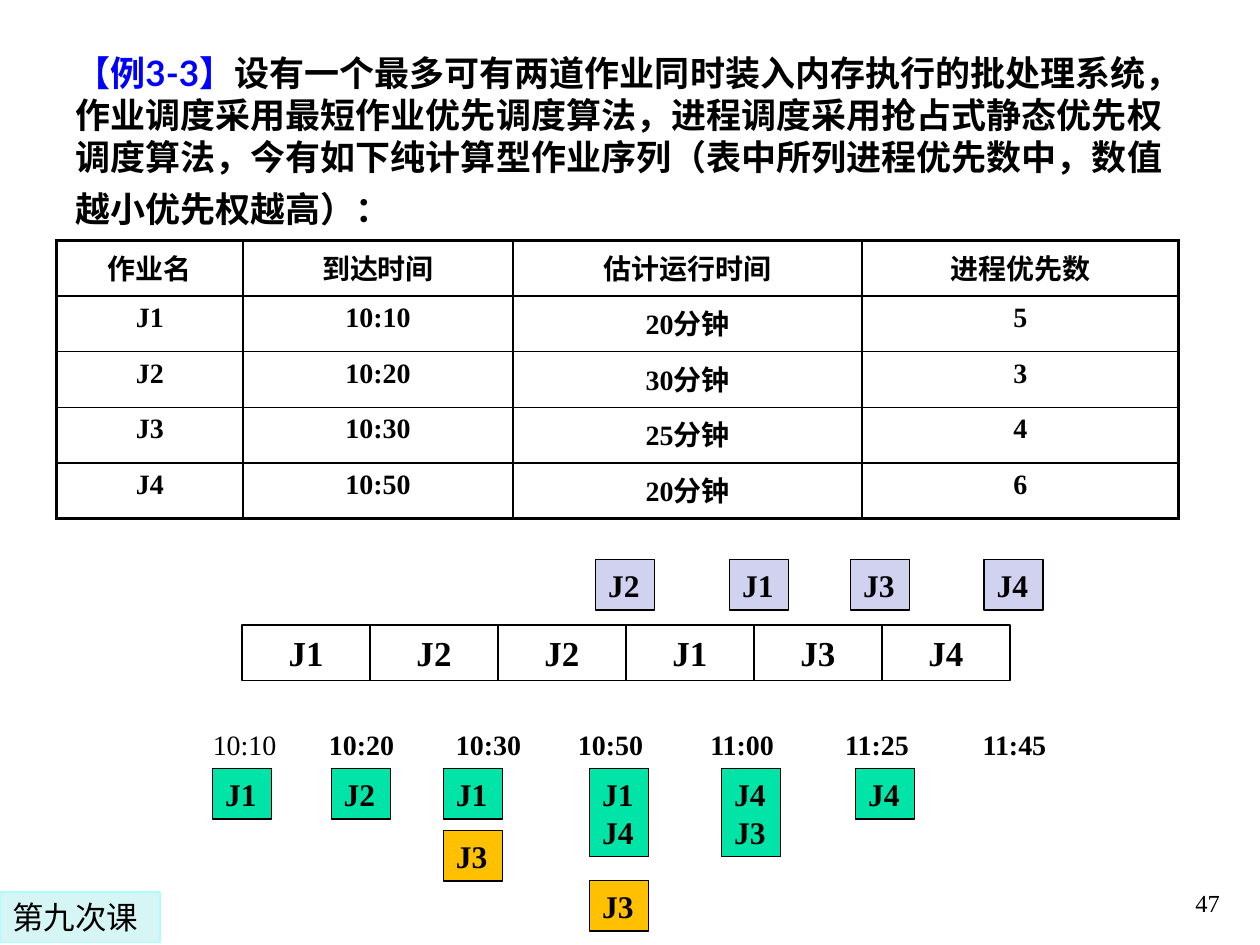
from pptx import Presentation
from pptx.dml.color import RGBColor
from pptx.enum.shapes import MSO_SHAPE
from pptx.enum.text import MSO_ANCHOR, PP_ALIGN
from pptx.oxml.xmlchemy import OxmlElement
from pptx.util import Cm, Pt

TIMES = "Times New Roman"
NOTO = "Noto Sans CJK SC"
LATO = "Lato"
DEJA = "DejaVu Sans"

TITLE = [
    ("【例", 20, NOTO, "0000FF"),
    ("3-3", 20, LATO, "0000FF"),
    ("】", 20, NOTO, "0000FF"),
    ("设有一个最多可有两道作业同时装入内存执行的批处理系统，作业调度采用最短作业优先调度算法，"
     "进程调度采用抢占式静态优先权调度算法，今有如下纯计算型作业序列"
     "（表中所列进程优先数中，数值越小优先权越高）：", 20, NOTO, "000000"),
    (" ", 26, LATO, "000000"),
]
ROWS = [
    ["作业名", "到达时间", "估计运行时间", "进程优先数"],
    ["J1", "10:10", "20分钟", "5"],
    ["J2", "10:20", "30分钟", "3"],
    ["J3", "10:30", "25分钟", "4"],
    ["J4", "10:50", "20分钟", "6"],
]
WIDTHS = [3.76, 5.44, 7.04, 6.38]
BARS = ["J1", "J2", "J2", "J1", "J3", "J4"]
TIMES_AT = [(4.04, "10:10"), (6.38, "10:20"), (8.94, "10:30"), (11.4, "10:50"),
            (14.07, "11:00"), (16.79, "11:25"), (19.56, "11:45")]
DONE = [(12.01, "J2"), (14.71, "J1"), (17.15, "J3"), (19.84, "J4")]
READY = [(4.29, "J1"), (6.68, "J2"), (8.94, "J1"), (11.89, "J1\nJ4"),
         (14.55, "J4\nJ3"), (17.25, "J4")]
WAIT = [(8.94, 16.74), (11.89, 17.75)]


def color(hexa):
    """Turn a hex string into a colour."""
    return RGBColor.from_string(hexa)


def style(font, size, name=TIMES, asia=NOTO, bold=True, hexa="000000"):
    """Set size, faces, weight and colour of a font."""
    font.size, font.name, font.bold = Pt(size), name, bold
    font.color.rgb = color(hexa)
    face = OxmlElement("a:ea")
    face.set("typeface", asia)
    font._element.find("{*}latin").addnext(face)


def write(frame, text, size, align=PP_ALIGN.LEFT, **look):
    """Fill a text frame with evenly styled paragraphs."""
    frame.text = text
    for para in frame.paragraphs:
        para.alignment = align
        style(para.font, size, **look)


def label(slide, x, y, wide, high, text, size, **look):
    """Add a wrapping text box."""
    frame = slide.shapes.add_textbox(Cm(x), Cm(y), Cm(wide), Cm(high)).text_frame
    frame.word_wrap = True
    write(frame, text, size, **look)
    return frame


def box(slide, x, y, wide, high, text, size, fill=None, line="000000", **look):
    """Add an outlined rectangle with text."""
    shape = slide.shapes.add_shape(MSO_SHAPE.RECTANGLE, Cm(x), Cm(y), Cm(wide), Cm(high))
    shape.shadow.inherit = False
    if fill:
        shape.fill.solid()
        shape.fill.fore_color.rgb = color(fill)
    else:
        shape.fill.background()
    shape.line.color.rgb = color(line)
    shape.line.width = Pt(0.75)
    shape.text_frame.word_wrap = False
    write(shape.text_frame, text, size, **look)


def job(slide, x, y, text, fill):
    """Add a small job box, taller when it lists two jobs."""
    high = 1.02 + 0.76 * text.count("\n")
    box(slide, x, y, 1.19, high, text, 18, fill)


def title(slide):
    """Add the problem statement."""
    frame = slide.shapes.add_textbox(Cm(1.27), Cm(0.91), Cm(22.63), Cm(3.94)).text_frame
    frame.word_wrap = True
    for text, size, name, hexa in TITLE:
        run = frame.paragraphs[0].add_run()
        run.text = text
        style(run.font, size, name, LATO, hexa=hexa)


def edge(cell, side, width):
    """Draw one black border of a cell."""
    line = OxmlElement(f"a:ln{side}")
    line.set("w", str(Pt(width)))
    fill = OxmlElement("a:solidFill")
    tint = OxmlElement("a:srgbClr")
    tint.set("val", "000000")
    fill.append(tint)
    line.append(fill)
    cell._tc.get_or_add_tcPr().append(line)


def grid(slide):
    """Add the job table with a heavy outer frame."""
    rows, cols = len(ROWS), len(WIDTHS)
    table = slide.shapes.add_table(rows, cols, Cm(1.14), Cm(4.85),
                                   Cm(sum(WIDTHS)), Cm(1.12 * rows)).table
    for col, wide in zip(table.columns, WIDTHS):
        col.width = Cm(wide)
    for r, row in enumerate(ROWS):
        for c, text in enumerate(row):
            cell = table.cell(r, c)
            write(cell.text_frame, text, 16, PP_ALIGN.CENTER)
            outer = {"L": c == 0, "R": c == cols - 1, "T": r == 0, "B": r == rows - 1}
            for side, heavy in outer.items():
                edge(cell, side, 2.25 if heavy else 1)
            cell.fill.background()


def chart(slide):
    """Add the schedule: finished jobs, bars, times and queues."""
    for x, text in DONE:
        job(slide, x, 11.28, text, "D1D1F0")
    for i, text in enumerate(BARS):
        box(slide, 4.88 + 2.58 * i, 12.6, 2.58, 1.12, text, 20, align=PP_ALIGN.CENTER)
    for i, (x, text) in enumerate(TIMES_AT):
        label(slide, x, 14.55, 2.13, 0.94, text, 16, bold=i > 0)
    for x, text in READY:
        job(slide, x, 15.49, text, "00E4A8")
    for x, y in WAIT:
        job(slide, x, y, "J3", "FFC000")


def main():
    """Build and save the slide."""
    deck = Presentation()
    deck.slide_width, deck.slide_height = Cm(25.4), Cm(19.05)
    slide = deck.slides.add_slide(deck.slide_layouts[6])
    title(slide)
    grid(slide)
    chart(slide)
    box(slide, 0, 17.98, 3.23, 1.02, "第九次课", 18, "D6F5F5", "ADFFFF",
        name=DEJA, asia=DEJA, bold=False)
    page = label(slide, 19.56, 17.35, 5.28, 1.27, "47", 14,
                 align=PP_ALIGN.RIGHT, bold=False)
    page.vertical_anchor = MSO_ANCHOR.BOTTOM
    deck.save("out.pptx")


if __name__ == "__main__":
    main()
